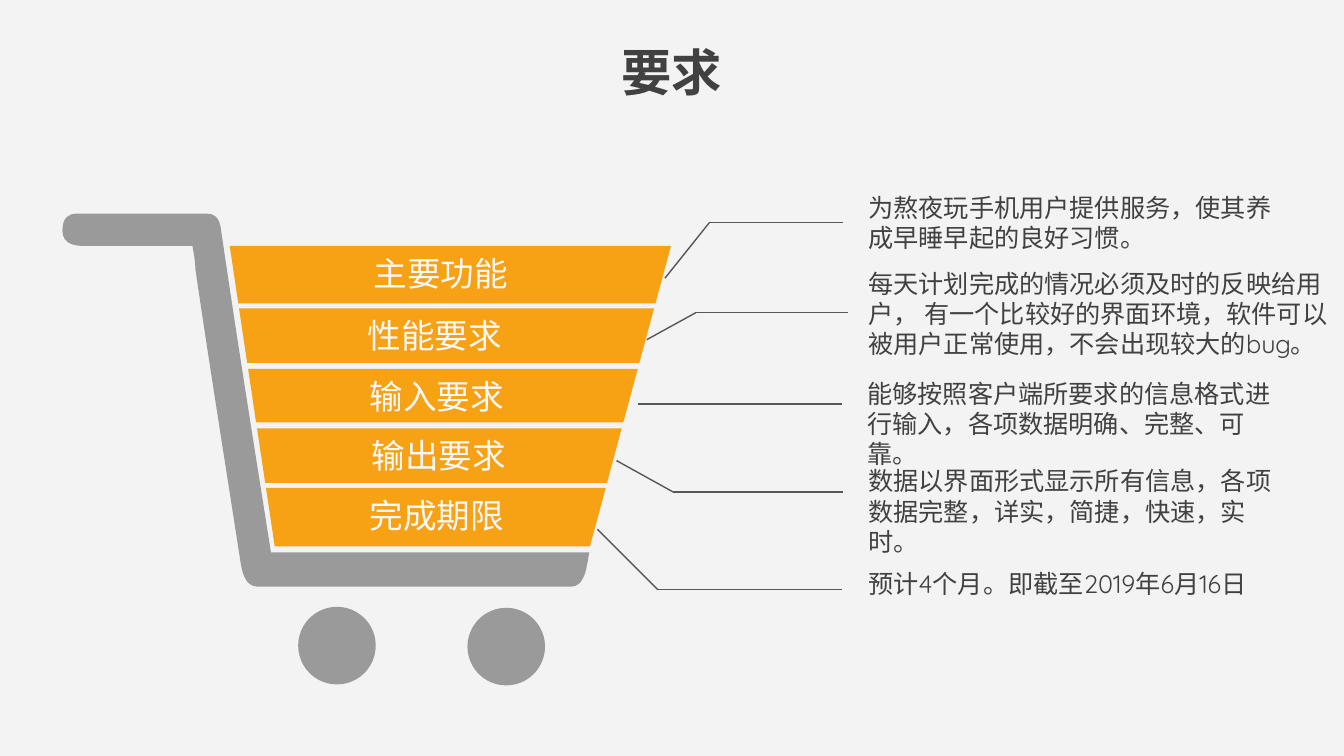
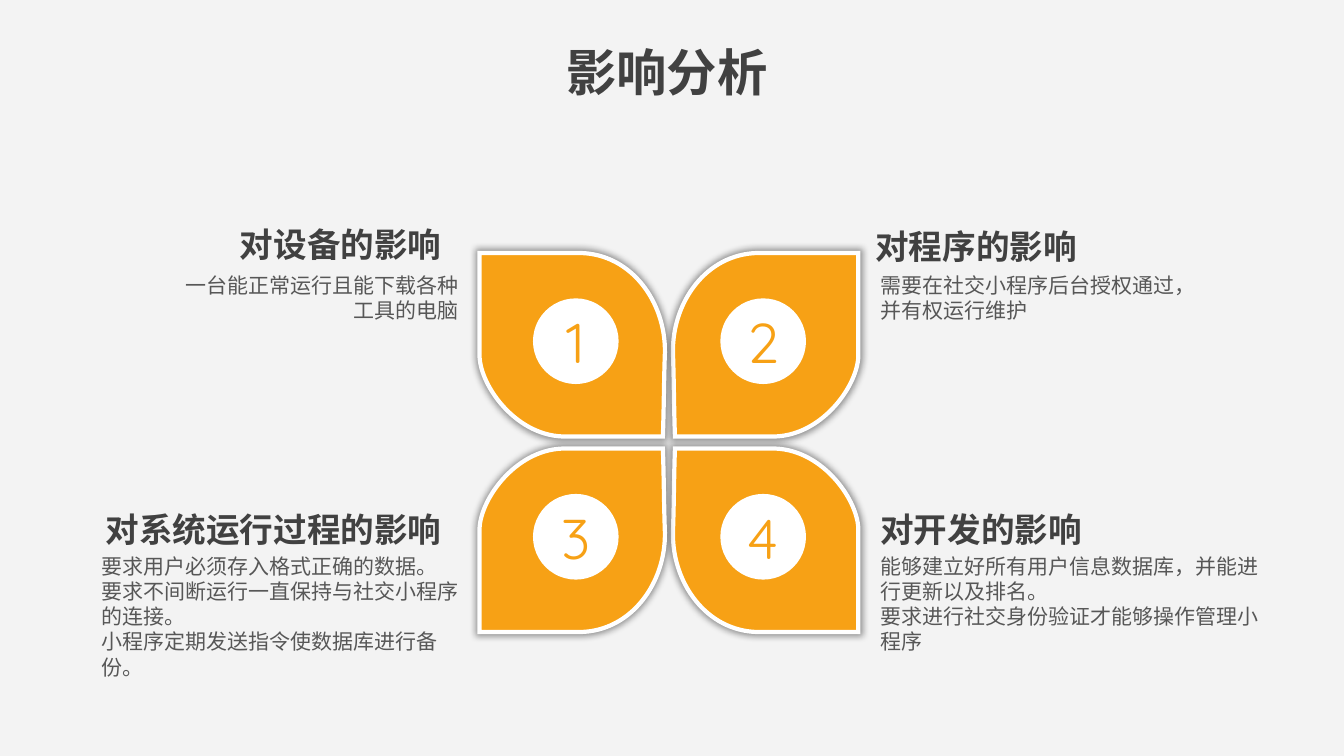
"""Build a shopping-cart requirements slide and a four-petal impact slide."""
from lxml import etree
from pptx import Presentation
from pptx import util as u
from pptx.dml.color import RGBColor
from pptx.enum import shapes, text
from pptx.oxml.ns import qn

COLORS = {"background": "F3F3F3", "dark": "414141", "gray": "575757", "cart": "9A9A9A",
          "accent": "F7A115", "white": "FFFFFF", "label": "F8F8F8", "shadow": "000000"}
FONT = "Quicksand"
STYLES = {
    "title": ({"name": FONT, "size": u.Pt(36), "bold": True}, "dark"),
    "heading": ({"name": FONT, "size": u.Pt(24), "bold": True}, "dark"),
    "bar": ({"name": FONT, "size": u.Pt(24), "bold": False}, "label"),
    "requirement": ({"name": FONT, "size": u.Pt(18), "bold": False}, "dark"),
    "detail": ({"name": FONT, "size": u.Pt(15), "bold": False}, "gray"),
    "number": ({"name": FONT, "size": u.Pt(40), "bold": False}, "accent"),
}
LEFT, CENTER, RIGHT = text.PP_ALIGN.LEFT, text.PP_ALIGN.CENTER, text.PP_ALIGN.RIGHT
BOX_FRAME = {"word_wrap": True, "auto_size": text.MSO_AUTO_SIZE.SHAPE_TO_FIT_TEXT,
             "vertical_anchor": text.MSO_ANCHOR.TOP}
LABEL_FRAME = {**BOX_FRAME, "word_wrap": False}
NUMBER_FRAME = {"vertical_anchor": text.MSO_ANCHOR.MIDDLE, "margin_left": 0,
                "margin_right": 0, "margin_top": 0, "margin_bottom": 0}


def write_text(shape, lines, style, align=LEFT, frame_format=BOX_FRAME):
    """Write one paragraph per line in a named style, without hanging punctuation."""
    frame = shape.text_frame
    for name, value in frame_format.items():
        setattr(frame, name, value)
    font_format, color = STYLES[style]
    frame.text = "\n".join(lines)
    for paragraph in frame.paragraphs:
        paragraph.alignment = align
        paragraph._p.get_or_add_pPr().set("hangingPunct", "0")
        font = paragraph.runs[0].font
        for name, value in font_format.items():
            setattr(font, name, value)
        font.color.rgb = RGBColor.from_string(COLORS[color])


def draw_outline(slide, start, steps, color):
    """Draw a closed outline from line steps (x, y) and cubic steps (six numbers)."""
    builder = slide.shapes.build_freeform(u.Inches(start[0]), u.Inches(start[1]))
    builder.add_line_segments([(u.Inches(step[-2]), u.Inches(step[-1])) for step in steps],
                              close=True)
    shape = builder.convert_to_shape()
    segments = list(shape._element.spPr.iter(qn("a:lnTo")))
    for step, segment in zip(steps, segments):
        if len(step) == 6:
            curve = etree.Element(qn("a:cubicBezTo"))
            for x, y in zip(step[::2], step[1::2]):
                etree.SubElement(curve, qn("a:pt"), x=str(u.Inches(x) - shape.left),
                                 y=str(u.Inches(y) - shape.top))
            segment.getparent().replace(segment, curve)
    shape.shadow.inherit = False
    shape.fill.solid()
    shape.fill.fore_color.rgb = RGBColor.from_string(COLORS[color])
    shape.line.fill.background()
    return shape


presentation = Presentation()
presentation.slide_width = u.Inches(13.34)
presentation.slide_height = u.Inches(7.5)
background = presentation.slide_master.background.fill
background.solid()
background.fore_color.rgb = RGBColor.from_string(COLORS["background"])

slides = []
for title, left in [("要求", 4.11), ("影响分析", 4.06)]:
    slide = presentation.slides.add_slide(presentation.slide_layouts[5])
    shape = slide.shapes.title
    shape.left, shape.top = u.Inches(left), u.Inches(0.36)
    shape.width, shape.height = u.Inches(5.12), u.Inches(0.71)
    write_text(shape, [title], "title", CENTER)
    slides.append(slide)
cart_slide, impact_slide = slides

draw_outline(cart_slide, (2.19, 2.25), [
    (2.17, 2.15, 2.12, 2.12, 2.06, 2.12), (0.76, 2.12),
    (0.68, 2.12, 0.62, 2.16, 0.62, 2.29), (0.62, 2.43, 0.76, 2.44, 0.83, 2.44),
    (1.91, 2.44), (1.92, 2.48, 1.94, 2.61, 1.94, 2.67),
    (2.08, 3.63, 2.24, 4.62, 2.39, 5.59),
    (2.4, 5.65, 2.41, 5.69, 2.43, 5.73), (2.45, 5.78, 2.5, 5.82, 2.55, 5.82),
    (5.67, 5.82), (5.73, 5.82, 5.77, 5.78, 5.79, 5.73),
    (5.81, 5.69, 5.82, 5.65, 5.83, 5.59), (5.84, 5.55, 5.84, 5.52, 5.85, 5.48),
    (2.69, 5.48), (2.51, 4.34, 2.35, 3.35, 2.19, 2.25)], "cart")

ovals = [(cart_slide, 2.96, 6.02, 0.77, "cart", None),
         (cart_slide, 4.64, 6.03, 0.77, "cart", None)]

bars = [("主要功能", 2.44, 3.01, 3.6), ("性能要求", 3.06, 3.6, 3.54),
        ("输入要求", 3.66, 4.19, 3.56), ("输出要求", 4.25, 4.79, 3.58),
        ("完成期限", 4.84, 5.42, 3.56)]
for label, top, bottom, label_left in bars:
    (left_top, right_top), (left_bottom, right_bottom) = [
        (2.28 + 0.15 * (y - 2.44), 6.66 - 0.27 * (y - 2.44)) for y in (top, bottom)]
    draw_outline(cart_slide, (left_top, top), [
        (right_top, top), (right_bottom, bottom), (left_bottom, bottom)], "accent")
    box = cart_slide.shapes.add_textbox(u.Inches(label_left), u.Inches(top + 0.02),
                                        u.Inches(1.55), u.Inches(0.5))
    write_text(box, [label], "bar", CENTER, LABEL_FRAME)

leaders = [[(6.6, 2.76), (7.04, 2.21), (8.37, 2.21)],
           [(6.42, 3.37), (6.91, 3.1), (8.42, 3.1)],
           [(6.33, 4.01), (8.36, 4.01)],
           [(6.12, 4.57), (6.68, 4.88), (8.37, 4.88)],
           [(5.93, 5.25), (6.53, 5.85), (8.36, 5.85)]]
for leader in leaders:
    group = cart_slide.shapes.add_group_shape()
    for begin, end in zip(leader, leader[1:]):
        connector = group.shapes.add_connector(
            shapes.MSO_CONNECTOR.STRAIGHT, *[u.Inches(value) for value in begin + end])
        connector.line.color.rgb = RGBColor.from_string(COLORS["gray"])
        connector.line.width = u.Pt(1)
        etree.SubElement(connector._element.spPr, qn("a:effectLst"))

text_boxes = [
    (cart_slide, 8.52, 1.86, 4.29, 0.71, "requirement", LEFT,
     ["为熬夜玩手机用户提供服务，使其养成早睡早起的良好习惯。"]),
    (cart_slide, 8.52, 2.61, 4.82, 1.01, "requirement", LEFT,
     ["每天计划完成的情况必须及时的反映给用户， 有一个比较好的界面环境，"
      "软件可以被用户正常使用，不会出现较大的bug。"]),
    (cart_slide, 8.51, 3.7, 4.29, 0.71, "requirement", LEFT,
     ["能够按照客户端所要求的信息格式进行输入，各项数据明确、完整、可靠。"]),
    (cart_slide, 8.52, 4.57, 4.22, 0.71, "requirement", LEFT,
     ["数据以界面形式显示所有信息，各项数据完整，详实，简捷，快速，实时。"]),
    (cart_slide, 8.52, 5.59, 4.29, 0.4, "requirement", LEFT,
     ["预计4个月。即截至2019年6月16日"]),
    (impact_slide, 1.3, 2.17, 3.18, 0.5, "heading", RIGHT, ["对设备的影响"]),
    (impact_slide, 1.65, 2.65, 3, 0.61, "detail", RIGHT,
     ["一台能正常运行且能下载各种工具的电脑"]),
    (impact_slide, 8.59, 2.19, 3.13, 0.5, "heading", LEFT, ["对程序的影响"]),
    (impact_slide, 8.64, 2.65, 3.46, 0.61, "detail", LEFT,
     ["需要在社交小程序后台授权通过，并有权运行维护"]),
    (impact_slide, 0.91, 5, 3.57, 0.5, "heading", RIGHT, ["对系统运行过程的影响"]),
    (impact_slide, 0.91, 5.44, 3.75, 1.11, "detail", LEFT,
     ["要求用户必须存入格式正确的数据。",
      "要求不间断运行一直保持与社交小程序的连接。",
      "小程序定期发送指令使数据库进行备份。"]),
    (impact_slide, 8.64, 5, 3.13, 0.5, "heading", LEFT, ["对开发的影响"]),
    (impact_slide, 8.64, 5.44, 4, 1.11, "detail", LEFT,
     ["能够建立好所有用户信息数据库，并能进行更新以及排名。",
      "要求进行社交身份验证才能够操作管理小程序"]),
]
for slide, left, top, width, height, style, align, lines in text_boxes:
    box = slide.shapes.add_textbox(*[u.Inches(value) for value in (left, top, width, height)])
    write_text(box, lines, style, align)

petal_center = (6.64, 4.39)
petal_start = (0.06, 0.06)
petal_steps = [(0.39, 0.06, 0.72, 0.06, 1.06, 0.06),
               (1.54, 0.08, 1.89, 0.59, 1.88, 0.88),
               (1.88, 1.21, 1.88, 1.54, 1.88, 1.88),
               (1.55, 1.88, 1.21, 1.88, 0.88, 1.88),
               (0.37, 1.87, 0.03, 1.39, 0.04, 0.89),
               (0.05, 0.61, 0.05, 0.33, 0.06, 0.06)]
petals = [("4", 1, 1), ("2", 1, -1), ("3", -1, 1), ("1", -1, -1)]
for number, side_x, side_y in petals:
    start, *steps = [
        tuple(petal_center[i % 2] + (side_x, side_y)[i % 2] * value
              for i, value in enumerate(step))
        for step in [petal_start] + petal_steps]
    petal = draw_outline(impact_slide, start, steps, "accent")
    petal.line.color.rgb = RGBColor.from_string(COLORS["white"])
    petal.line.width = u.Pt(3)
    properties = petal._element.spPr
    etree.SubElement(properties.find(qn("a:ln")), qn("a:miter"), lim="800000")
    shadow = etree.SubElement(properties.find(qn("a:effectLst")), qn("a:outerShdw"),
                              blurRad=str(u.Pt(5)), dist="0", dir="0", sx="102000",
                              sy="102000", algn="ctr", rotWithShape="0")
    shadow_color = etree.SubElement(shadow, qn("a:srgbClr"), val=COLORS["shadow"])
    etree.SubElement(shadow_color, qn("a:alpha"), val="40000")
    ovals.append((impact_slide, 6.22 + 0.93 * side_x, 3.93 + 0.97 * side_y, 0.85,
                  "white", number))

for slide, left, top, size, color, number in ovals:
    oval = slide.shapes.add_shape(shapes.MSO_SHAPE.OVAL, u.Inches(left), u.Inches(top),
                                  u.Inches(size), u.Inches(size))
    oval.shadow.inherit = False
    oval.fill.solid()
    oval.fill.fore_color.rgb = RGBColor.from_string(COLORS[color])
    oval.line.fill.background()
    if number:
        write_text(oval, [number], "number", CENTER, NUMBER_FRAME)

presentation.save("out.pptx")
